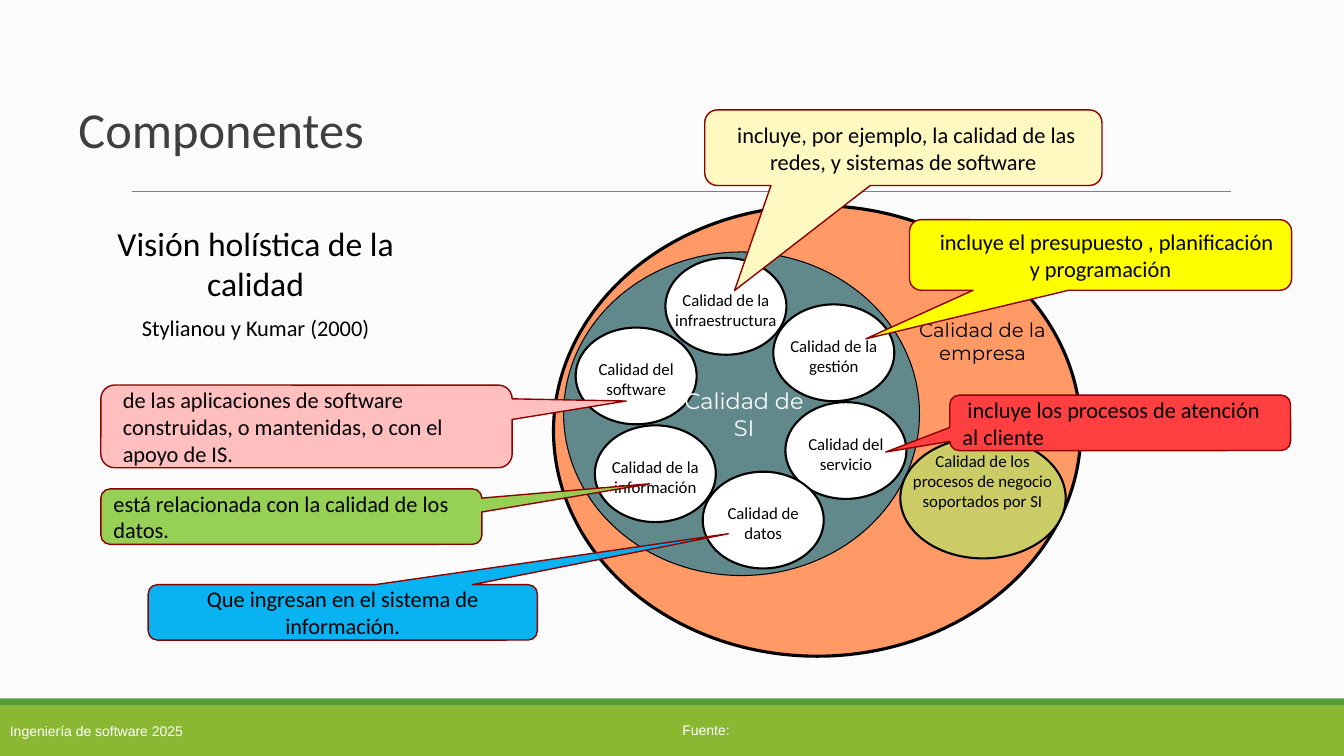
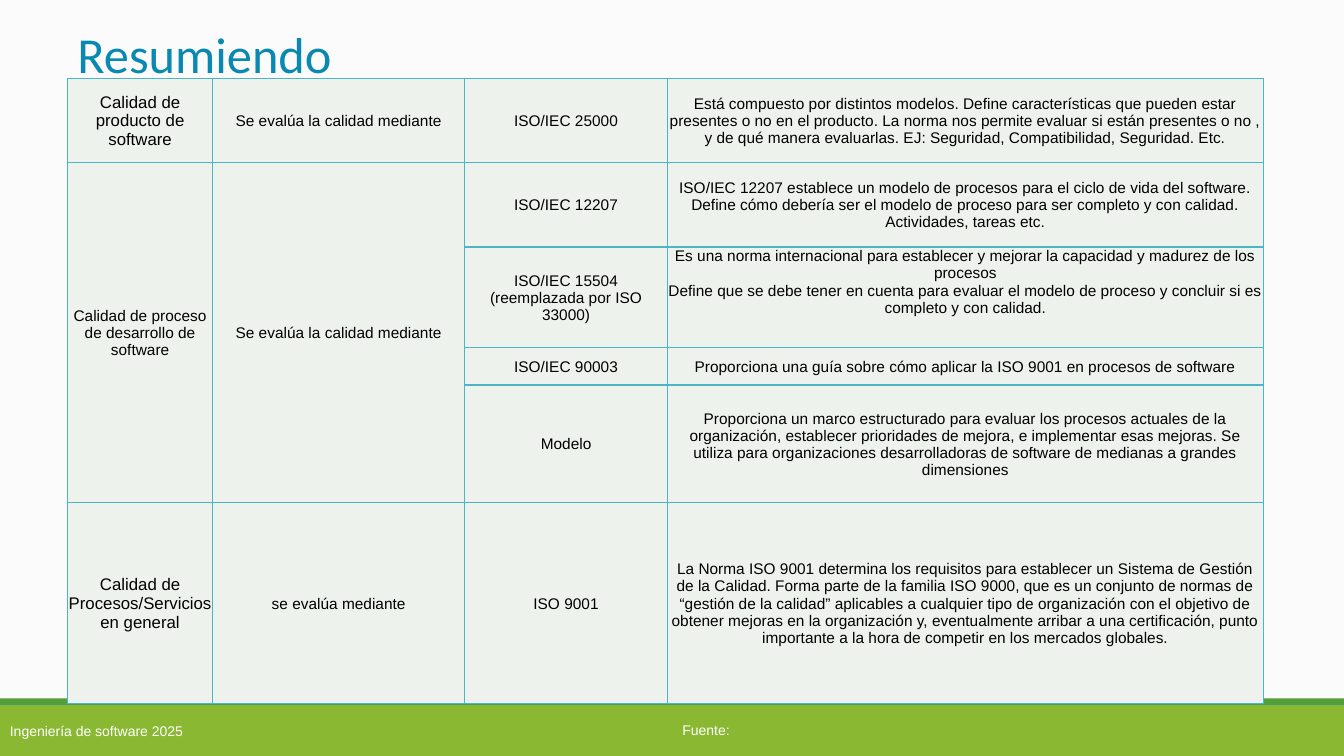
from dataclasses import dataclass

from lxml import etree
from pptx import Presentation
from pptx.dml.color import RGBColor
from pptx.enum.shapes import MSO_CONNECTOR, MSO_SHAPE
from pptx.enum.text import MSO_ANCHOR, PP_ALIGN
from pptx.oxml.ns import qn
from pptx.util import Inches, Pt

RECT, OVAL = MSO_SHAPE.RECTANGLE, MSO_SHAPE.OVAL
CALLOUT = MSO_SHAPE.ROUNDED_RECTANGULAR_CALLOUT
STRAIGHT = MSO_CONNECTOR.STRAIGHT
LEFT, CENTER = PP_ALIGN.LEFT, PP_ALIGN.CENTER
TOP, MIDDLE = MSO_ANCHOR.TOP, MSO_ANCHOR.MIDDLE


@dataclass(frozen=True)
class Theme:
    background: str = "FBFBFB"
    footer: str = "8AB833"
    footer_edge: str = "549E39"
    rule: str = "7F7F7F"
    title: str = "3F3F3F"
    summary_title: str = "0989B1"
    black: str = "000000"
    white: str = "FFFFFF"
    company: str = "FF9966"
    system: str = "61888A"
    processes: str = "CCCC66"
    callout_line: str = "8C0000"
    cell: str = "EEF2ED"
    cell_line: str = "4AB5C4"
    body_font: str = "Calibri"
    table_font: str = "Arial"
    diagram_font: str = "Montserrat"
    title_size: int = 36
    heading_size: int = 24
    body_size: int = 16
    area_size: int = 14
    label_size: int = 12
    cell_size: int = 11
    footer_size: int = 10


THEME = Theme()
TIGHT = (0.05, 0.02, 0.05, 0.02)
NORMAL = (0.1, 0.05, 0.1, 0.05)
CELL = (0.01, 0.01, 0.01, 0)

BUBBLE_SIZE = (1.2, 0.96)
BUBBLES = [
    (6.6, 2.56, "Calidad de la infraestructura"),
    (7.67, 3.02, "Calidad de la gestión"),
    (7.79, 3.99, "Calidad del servicio"),
    (5.71, 3.25, "Calidad del software"),
    (5.9, 4.22, "Calidad de la información"),
    (6.97, 4.68, "Calidad de datos"),
]

# box, pointer tip, fill, opacity in %, alignment, left margin, first-line indent, paragraphs
CALLOUTS = [
    ((6.99, 1.09, 3.94, 0.75), (-0.425, 1.89), "FEF8C1", 100, CENTER, 0, 0.06,
     ["incluye, por ejemplo, la calidad de las redes, y sistemas de software"]),
    ((1, 3.82, 4.08, 0.82), (0.777, -0.307), "FFBFBF", 100, LEFT, 0.08, 0,
     ["de las aplicaciones de software",
      "construidas, o mantenidas, o con el apoyo de IS."]),
    ((1.47, 5.8, 3.86, 0.55), (0.991, -1.419), "00B0F0", 96, CENTER, 0, 0,
     ["Que ingresan en el sistema de información."]),
    ((1, 4.85, 3.78, 0.55), (0.94, -0.592), "92D050", 96, LEFT, 0, 0,
     ["está relacionada con la calidad de los datos."]),
    ((9.02, 2.18, 3.79, 0.7), (-0.614, 1.188), "FFFF00", 100, CENTER, 0, 0.12,
     ["incluye el presupuesto , planificación y programación"]),
    ((9.42, 3.92, 3.38, 0.55), (-0.688, 0.526), "FF3F40", 100, LEFT, 0, 0.05,
     ["incluye los procesos de atención al cliente"]),
]

COLUMNS = [1.44, 2.5, 2.01, 5.91]
ROWS = [0.83, 0.84, 1, 0.37, 1.17, 1.99]
SUMMARY = [
    ["Calidad de producto de software", "Se evalúa la calidad mediante", "ISO/IEC 25000",
     "Está compuesto por distintos modelos. Define características que pueden estar "
     "presentes o no en el producto. La norma nos permite evaluar si están presentes o no , "
     "y de qué manera evaluarlas. EJ: Seguridad, Compatibilidad, Seguridad. Etc."],
    ["Calidad de proceso de desarrollo de software", "Se evalúa la calidad mediante",
     "ISO/IEC 12207",
     "ISO/IEC 12207 establece un modelo de procesos para el ciclo de vida del software. "
     "Define cómo debería ser el modelo de proceso para ser completo y con calidad. "
     "Actividades, tareas etc."],
    ["", "", "ISO/IEC 15504 (reemplazada por ISO 33000)",
     "Es una norma internacional para establecer y mejorar la capacidad y madurez de los "
     "procesos\nDefine que se debe tener en cuenta para evaluar el modelo de proceso y "
     "concluir si es completo y con calidad."],
    ["", "", "ISO/IEC 90003",
     "Proporciona una guía sobre cómo aplicar la ISO 9001 en procesos de software"],
    ["", "", "Modelo",
     "Proporciona un marco estructurado para evaluar los procesos actuales de la "
     "organización, establecer prioridades de mejora, e implementar esas mejoras. Se "
     "utiliza para organizaciones desarrolladoras de software de medianas a grandes "
     "dimensiones"],
    ["Calidad de Procesos/Servicios en general", "se evalúa mediante", "ISO 9001",
     "La Norma ISO 9001 determina los requisitos para establecer un Sistema de Gestión de "
     "la Calidad. Forma parte de la familia ISO 9000, que es un conjunto de normas de "
     "“gestión de la calidad” aplicables a cualquier tipo de organización con el objetivo "
     "de obtener mejoras en la organización y, eventualmente arribar a una certificación, "
     "punto importante a la hora de competir en los mercados globales."],
]
MERGED_ROWS = (1, 4)
LARGE_CELLS = {(0, 0), (5, 0)}
TOP_CELLS = {(2, 3)}


def rgb(color):
    return RGBColor.from_string(color)


def inches(values):
    return [Inches(value) for value in values]


def set_all(target, values):
    for name, value in values.items():
        setattr(target, name, value)


def set_margins(target, insets):
    sides = ("margin_left", "margin_top", "margin_right", "margin_bottom")
    set_all(target, dict(zip(sides, inches(insets))))


def write(frame, lines, size, color=THEME.black, font=THEME.body_font, align=LEFT,
          anchor=TOP, insets=NORMAL):
    """Fill a shape's text frame, one paragraph for each line."""
    set_all(frame, {"word_wrap": True, "vertical_anchor": anchor})
    set_margins(frame, insets)
    write_paragraphs(frame, lines, size, color, font, align)


def write_paragraphs(frame, lines, size, color, font, align):
    for index, line in enumerate(lines):
        paragraph = frame.add_paragraph() if index else frame.paragraphs[0]
        paragraph.alignment = align
        run = paragraph.add_run()
        run.text = line
        set_all(run.font, {"size": Pt(size), "name": font})
        run.font.color.rgb = rgb(color)


def add_label(slide, box, lines, size, **style):
    frame = slide.shapes.add_textbox(*inches(box)).text_frame
    write(frame, lines, size, **style)
    return frame


def add_block(slide, kind, box, fill, line=None, width=1):
    block = slide.shapes.add_shape(kind, *inches(box))
    block.shadow.inherit = False
    block.fill.solid()
    block.fill.fore_color.rgb = rgb(fill)
    if line:
        block.line.color.rgb = rgb(line)
        block.line.width = Pt(width)
    else:
        block.line.fill.background()
    return block


def add_rule(slide, left, right, y):
    rule = slide.shapes.add_connector(STRAIGHT, *inches((left, y, right, y)))
    rule.line.color.rgb = rgb(THEME.rule)
    rule.line.width = Pt(0.75)
    etree.SubElement(rule._element.spPr, qn("a:effectLst"))


def add_title(slide, box, title, color):
    frame = add_label(slide, box, [title], THEME.title_size, color=color, anchor=MIDDLE)
    frame.paragraphs[0].line_spacing = 0.85


def add_base_slide(deck):
    """Add a slide with the shared background and footer."""
    slide = deck.slides.add_slide(deck.slide_layouts[6])
    slide.background.fill.solid()
    slide.background.fill.fore_color.rgb = rgb(THEME.background)
    footer = add_block(slide, RECT, (0, 7, 13.33, 0.5), THEME.footer)
    footer_style = {"color": THEME.white, "font": THEME.table_font}
    write(footer.text_frame, ["Ingeniería de software 2025"], THEME.footer_size,
          anchor=MIDDLE, insets=(0.1,) * 4, **footer_style)
    add_block(slide, RECT, (0, 6.93, 13.33, 0.07), THEME.footer_edge)
    add_label(slide, (6.67, 7.11, 0.8, 0.27), ["Fuente:"], THEME.footer_size, **footer_style)
    return slide


def add_bubble(slide, left, top, caption):
    width, height = BUBBLE_SIZE
    add_block(slide, OVAL, (left, top, width, height), THEME.white, THEME.black, 1.5)
    add_label(slide, (left, top + 0.29, width, 0.44), [caption], THEME.label_size,
              align=CENTER, insets=TIGHT)


def add_callout(slide, box, tip, fill, opacity, align, margin, indent, lines):
    callout = add_block(slide, CALLOUT, box, fill, THEME.callout_line)
    for index, value in enumerate((*tip, 0.167)):
        callout.adjustments[index] = value
    if opacity < 100:
        color = callout._element.spPr.find(qn("a:solidFill"))[0]
        etree.SubElement(color, qn("a:alpha"), val=str(opacity * 1000))
    write(callout.text_frame, lines, THEME.body_size, align=align, anchor=MIDDLE)
    for paragraph in callout.text_frame.paragraphs:
        properties = paragraph._p.get_or_add_pPr()
        properties.set("marL", str(Inches(margin)))
        properties.set("indent", str(Inches(indent)))


def add_cell_borders(cell):
    properties = cell._tc.get_or_add_tcPr()
    for side in ("lnL", "lnR", "lnT", "lnB"):
        border = etree.SubElement(properties, qn(f"a:{side}"), w=str(Pt(1)))
        fill = etree.SubElement(border, qn("a:solidFill"))
        etree.SubElement(fill, qn("a:srgbClr"), val=THEME.cell_line)


def format_cell(cell, position, text):
    add_cell_borders(cell)
    cell.fill.solid()
    cell.fill.fore_color.rgb = rgb(THEME.cell)
    cell.vertical_anchor = TOP if position in TOP_CELLS else MIDDLE
    set_margins(cell, CELL)
    if text:
        size = THEME.label_size if position in LARGE_CELLS else THEME.cell_size
        write_paragraphs(cell.text_frame, text.split("\n"), size, THEME.black,
                         THEME.table_font, CENTER)


def add_summary_table(slide, left, top):
    box = (left, top, sum(COLUMNS), sum(ROWS))
    table = slide.shapes.add_table(len(ROWS), len(COLUMNS), *inches(box)).table
    set_all(table, {"first_row": False, "horz_banding": False})
    for column, width in zip(table.columns, COLUMNS):
        column.width = Inches(width)
    for row, height in zip(table.rows, ROWS):
        row.height = Inches(height)
    for row, texts in enumerate(SUMMARY):
        for column, text in enumerate(texts):
            format_cell(table.cell(row, column), (row, column), text)
    first, last = MERGED_ROWS
    for column in (0, 1):
        table.cell(first, column).merge(table.cell(last, column))


def build_components(deck):
    slide = add_base_slide(deck)
    add_rule(slide, 1.31, 12.21, 1.9)
    add_title(slide, (0.68, 0.7, 11.78, 1.24), "Componentes", THEME.title)
    heading = add_label(slide, (0.84, 2.16, 3.39, 1.31),
                        ["Visión holística de la calidad", "Stylianou y Kumar (2000)"],
                        THEME.heading_size, align=CENTER)
    source = heading.paragraphs[1]
    source.space_before = Pt(8)
    source.runs[0].font.size = Pt(THEME.body_size)

    add_block(slide, OVAL, (5.49, 2.04, 5.23, 4.47), THEME.company, THEME.black, 2.25)
    add_block(slide, OVAL, (5.59, 2.5, 3.53, 3.21), THEME.system, THEME.black, 0.75)
    add_block(slide, OVAL, (8.93, 4.34, 1.64, 1.2), THEME.processes, THEME.black, 1.5)
    centered = {"align": CENTER, "insets": TIGHT}
    add_label(slide, (8.99, 4.45, 1.51, 0.89),
              ["Calidad de los procesos de negocio soportados por SI"],
              THEME.label_size, **centered)
    for bubble in BUBBLES:
        add_bubble(slide, *bubble)
    add_label(slide, (9.05, 3.13, 1.39, 0.89), ["Calidad de la empresa"],
              THEME.area_size, font=THEME.diagram_font, **centered)
    add_label(slide, (6.72, 3.82, 1.32, 0.53), ["Calidad de SI"], THEME.body_size,
              color=THEME.white, font=THEME.diagram_font, **centered)
    for callout in CALLOUTS:
        add_callout(slide, *callout)


def build_summary(deck):
    slide = add_base_slide(deck)
    add_summary_table(slide, 0.67, 0.78)
    add_label(slide, (0.67, 0.18, 3.21, 0.71), ["Resumiendo"], THEME.title_size,
              color=THEME.summary_title)


def main():
    deck = Presentation()
    set_all(deck, {"slide_width": Inches(13.33), "slide_height": Inches(7.5)})
    build_components(deck)
    build_summary(deck)
    deck.save("out.pptx")


if __name__ == "__main__":
    main()
